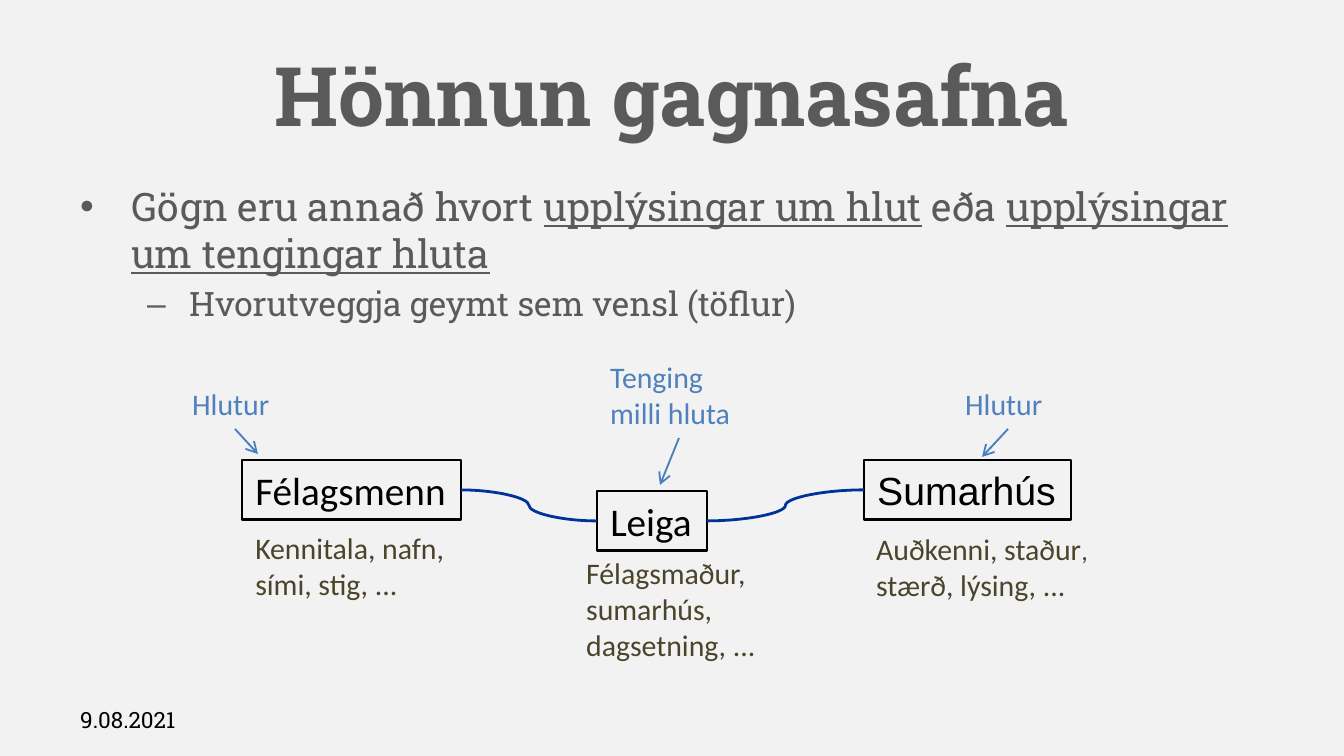
from dataclasses import dataclass

from lxml.etree import SubElement
from pptx import Presentation
from pptx.dml.color import RGBColor
from pptx.enum.shapes import MSO_CONNECTOR, MSO_SHAPE
from pptx.enum.text import MSO_ANCHOR, MSO_AUTO_SIZE, PP_ALIGN
from pptx.oxml.ns import qn
from pptx.util import Emu, Pt

SCALE = 914400 / 134.4


@dataclass(frozen=True)
class Theme:
    """Colours, fonts and type sizes of the slide."""
    paper: str = "F2F2F2"
    grey: str = "5A5A5A"
    black: str = "000000"
    blue: str = "4F81BD"
    arrow: str = "4B7EBC"
    curve: str = "003399"
    olive: str = "4A452A"
    slab: str = "Roboto Slab"
    sans: str = "Calibri"
    plain: str = "Arial"
    title: int = 44
    body: int = 21
    sub: int = 18
    label: int = 16
    comma: int = 14
    foot: int = 12


THEME = Theme()


def px(*vals):
    """Turn pixel lengths into EMU."""
    return [Emu(round(val * SCALE)) for val in vals]


def rgb(code):
    """Turn a hex code into a colour."""
    return RGBColor.from_string(code)


def style(para, face, size, color, bold=False):
    """Set the font of a whole paragraph."""
    font = para.font
    font.name, font.size, font.bold = face, Pt(size), bold
    font.color.rgb = rgb(color)


def add_text(slide, box, text, face, size, color, bold=False, anchor=MSO_ANCHOR.TOP):
    """Add a wrapping text box with one paragraph and return its frame."""
    frame = slide.shapes.add_textbox(*px(*box)).text_frame
    frame.word_wrap = True
    frame.vertical_anchor = anchor
    para = frame.paragraphs[0]
    if text:
        para.add_run().text = text
    style(para, face, size, color, bold)
    return frame


def add_head(slide, box, text):
    """Place the centred title."""
    frame = add_text(slide, box, text, THEME.slab, THEME.title, THEME.grey,
                     True, MSO_ANCHOR.MIDDLE)
    frame.paragraphs[0].alignment = PP_ALIGN.CENTER


def add_list(slide, box, items):
    """Place bullets, each given as level and (text, underlined) runs."""
    looks = (("•", 51, 51, THEME.body), ("–", 109, 42, THEME.sub))
    frame = slide.shapes.add_textbox(*px(*box)).text_frame
    frame.word_wrap = True
    for num, (level, runs) in enumerate(items):
        mark, left, hang, size = looks[level]
        para = frame.add_paragraph() if num else frame.paragraphs[0]
        para.level = level
        props = para._p.get_or_add_pPr()
        left, hang = px(left, hang)
        props.set("marL", str(left))
        props.set("indent", str(-hang))
        SubElement(props, qn("a:buFont")).set("typeface", THEME.plain)
        SubElement(props, qn("a:buChar")).set("char", mark)
        if num:
            para.space_before = Pt(size * 0.2)
        for text, under in runs:
            run = para.add_run()
            run.text = text
            if under:
                run.font.underline = True
        style(para, THEME.slab, size, THEME.grey)


def add_node(slide, box, text, face):
    """Place an outlined entity box and return it."""
    node = slide.shapes.add_shape(MSO_SHAPE.RECTANGLE, *px(*box))
    node.shadow.inherit = False
    node.fill.background()
    node.line.color.rgb = rgb(THEME.black)
    node.line.width = Pt(1.5)
    frame = node.text_frame
    frame.word_wrap = False
    frame.auto_size = MSO_AUTO_SIZE.SHAPE_TO_FIT_TEXT
    frame.vertical_anchor = MSO_ANCHOR.TOP
    para = frame.paragraphs[0]
    para.add_run().text = text
    para.alignment = PP_ALIGN.LEFT
    style(para, face, THEME.body, THEME.black)
    return node


def add_link(slide, kind, ends, color, width):
    """Draw a connector without shadow and return it."""
    link = slide.shapes.add_connector(kind, *px(*ends))
    link.line.color.rgb = rgb(color)
    link.line.width = Pt(width)
    SubElement(link._element.spPr, qn("a:effectLst"))
    return link


def add_arrow(slide, ends):
    """Draw a thin line with an open arrowhead."""
    link = add_link(slide, MSO_CONNECTOR.STRAIGHT, ends, THEME.arrow, 1)
    SubElement(link.line._get_or_add_ln(), qn("a:tailEnd")).set("type", "arrow")


def add_model(slide, box):
    """Place the three entities with labels, arrows, notes and curves."""
    left, top = box[:2]

    def move(x, y, *size):
        """Shift a place into the region."""
        return (left + x, top + y, *size)

    parts = (
        ("Félagsmenn", THEME.sans, (63, 108, 219, 60),
         "Hlutur", (0, 27, 112, 50), (56, 77, 79, 102),
         ("Kennitala, nafn, sími, stig, ...",), (63, 171, 237, 86)),
        ("Leiga", THEME.sans, (418, 139, 110, 60),
         "Tenging milli hluta", (418, 0, 165, 86), (500, 86, 481, 133),
         ("Félagsmaður, sumarhús, dagsetning, ...",), (394, 196, 216, 122)),
        ("Sumarhús", THEME.plain, (685, 108, 207, 60),
         "Hlutur", (773, 27, 112, 50), (829, 77, 803, 105),
         ("Auðkenni, staður", ",", " stærð, lýsing, ..."), (684, 172, 245, 86)),
    )
    nodes = []
    for name, face, place, label, spot, ends, note, area in parts:
        nodes.append(add_node(slide, move(*place), name, face))
        add_text(slide, move(*spot), label, THEME.sans, THEME.label, THEME.blue)
        add_arrow(slide, move(*ends[:2]) + move(*ends[2:]))
        para = add_text(slide, move(*area), "", THEME.sans, THEME.label,
                        THEME.olive).paragraphs[0]
        for text in note:
            run = para.add_run()
            run.text = text
            if text == ",":
                run.font.size = Pt(THEME.comma)
    for start, end in zip(nodes, nodes[1:]):
        link = add_link(slide, MSO_CONNECTOR.CURVE, (0, 0, 1, 1), THEME.curve, 1.5)
        link.begin_connect(start, 3)
        link.end_connect(end, 1)


def add_foot(slide, box, text):
    """Place the date."""
    add_text(slide, box, text, THEME.slab, THEME.foot, THEME.black,
             anchor=MSO_ANCHOR.MIDDLE)


def main():
    """Build and save the slide."""
    deck = Presentation()
    deck.slide_width, deck.slide_height = px(1344, 756)
    slide = deck.slides.add_slide(deck.slide_layouts[6])
    slide.background.fill.solid()
    slide.background.fill.fore_color.rgb = rgb(THEME.paper)
    add_head(slide, (67, 31, 1210, 126), "Hönnun gagnasafna")
    add_list(slide, (67, 176, 1210, 499), (
        (0, (("Gögn eru annað hvort ", False), ("upplýsingar um hlut", True),
             (" eða ", False), ("upplýsingar um tengingar hluta", True))),
        (1, (("Hvorutveggja geymt sem vensl (töflur)", False),)),
    ))
    add_model(slide, (179, 352, 929, 318))
    add_foot(slide, (67, 700, 313, 40), "9.08.2021")
    deck.save("out.pptx")


if __name__ == "__main__":
    main()
